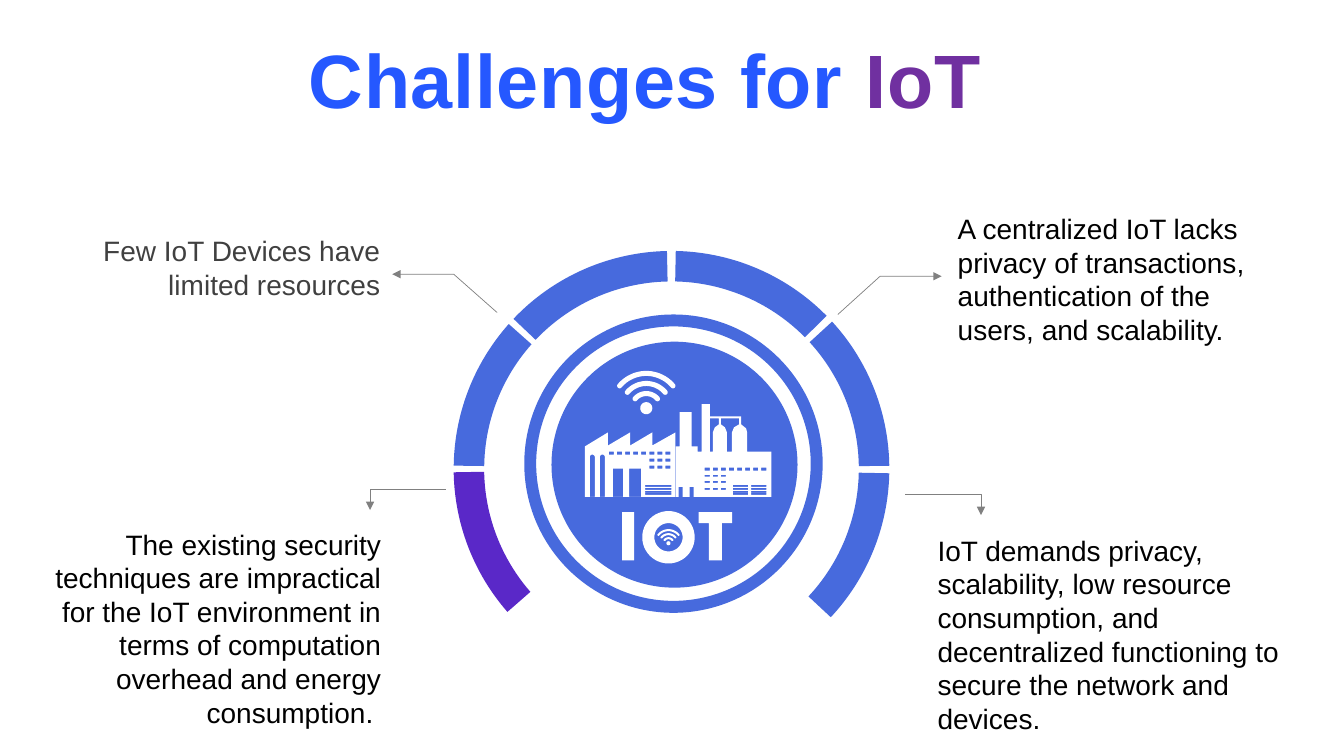
import math

import lxml.etree
import pptx
import pptx.dml.color
import pptx.enum.shapes
import pptx.enum.text
import pptx.oxml.ns
import pptx.util

# Content: lengths in px, 100 px to the inch
EMU_PER_PX = 9144
SLIDE = (1333, 750)
FONT = "Arial"
COLORS = {
    "blue": "476ADD", "purple": "5A28C8", "white": "FFFFFF", "black": "000000",
    "dark": "404040", "line": "808080", "title": "2558FF", "accent": "7030A0",
}
TITLE_BOX = (293, 28, 693, 101)
TITLE_RUNS = [("Challenges for ", "title"), ("IoT", "accent")]

# Box, alignment, colour, wording
NOTES = [
    ((940, 205, 309, 145), "LEFT", "black",
     "A centralized IoT lacks privacy of transactions, authentication of the users, "
     "and scalability."),
    ((920, 524, 375, 212), "LEFT", "black",
     "IoT demands privacy, scalability, low resource consumption, and decentralized "
     "functioning to secure the network and devices."),
    ((82, 227, 305, 77), "RIGHT", "dark", "Few IoT Devices have limited resources"),
    ((15, 518, 373, 212), "RIGHT", "black",
     "The existing security techniques are impractical for the IoT environment in "
     "terms of computation overhead and energy consumption. "),
]
ARROWS = [
    [(831, 312), (873, 274), (934, 274)],
    [(493, 310), (450, 272), (389, 272)],
    [(442, 485), (367, 485), (367, 506)],
    [(898, 490), (973, 490), (973, 511)],
]

# Ring pieces: rotation, block arc adjustments, colour
RING_BOX = (450, 249, 432, 432)
RING = [
    (137.7, (134.11, 159.19, 0.07), "blue"),
    (317.2, (109, 133.11, 0.07), "purple"),
    (0, (108.49, 132.99, 0.07), "blue"),
    (90, (136.5, 161.53, 0.07), "blue"),
    (47.6, (105.53, 132.72, 0.07), "blue"),
    (47.6, (134.11, 160.69, 0.07), "blue"),
]
DISC_BOX = (547, 339, 244, 244)
DONUT_BOX = (520, 312, 296, 296)
DONUT_WIDTH = 0.04

# Factory outlines and openings
HALL = [(580, 443), (603, 429), (603, 442), (625, 429), (625, 442), (647, 429),
        (647, 442), (670, 429), (670, 493), (580, 493)]
PLANT = [(696, 401), (704, 401), (704, 413), (735, 413), (735, 421), (740, 425),
         (741, 429), (741, 448), (765, 448), (765, 493), (688, 493), (688, 483),
         (684, 483), (684, 493), (677, 493), (677, 483), (673, 483), (673, 493),
         (670, 493), (670, 443), (674, 443), (674, 409), (686, 409), (686, 443),
         (692, 443), (692, 448), (696, 448)]
TANK_GAPS = [
    [(715, 415), (733, 415), (733, 421), (728, 424), (726, 429), (726, 448),
     (721, 448), (721, 429), (719, 424), (715, 421)],
    [(704, 415), (713, 415), (713, 421), (709, 424), (707, 429), (707, 448), (704, 448)],
]
HALL_DOORS = [(608, 465, 10, 28), (624, 465, 12, 28)]
PILLARS = (585, 595)
VENT_ROWS = (481, 484, 487, 489)
LETTER_T = [(693, 508), (726, 508), (726, 519), (716, 519), (716, 556), (703, 556),
            (703, 519), (693, 519)]

deck = pptx.Presentation()
deck.slide_width, deck.slide_height = [side * EMU_PER_PX for side in SLIDE]
page = deck.slides.add_slide(deck.slide_layouts[6])


def emu(lengths):
    return [round(length * EMU_PER_PX) for length in lengths]


def rgb(name):
    return pptx.dml.color.RGBColor.from_string(COLORS[name])


def paint(shape, color):
    shape.shadow.inherit = False
    shape.fill.solid()
    shape.fill.fore_color.rgb = rgb(color)
    shape.line.fill.background()


def add_preset(parent, kind, box, color, adjustments=(), rotation=0):
    shape = parent.add_shape(getattr(pptx.enum.shapes.MSO_SHAPE, kind), *emu(box))
    shape.rotation = rotation
    for index, value in enumerate(adjustments):
        shape.adjustments[index] = value
    paint(shape, color)


def add_outline(parent, contours, close=True):
    builder = parent.build_freeform(*emu(contours[0][0]))
    for index, contour in enumerate(contours):
        points = [emu(point) for point in contour]
        if index:
            builder.move_to(*points[0])
        builder.add_line_segments(points[1:], close=close)
    return builder.convert_to_shape()


def add_text(box, runs, size, align, bold=False, wrap=True, spacing=0):
    frame = page.shapes.add_textbox(*emu(box)).text_frame
    frame.word_wrap = wrap
    frame.auto_size = pptx.enum.text.MSO_AUTO_SIZE.SHAPE_TO_FIT_TEXT
    para = frame.paragraphs[0]
    para.alignment = getattr(pptx.enum.text.PP_ALIGN, align)
    for text, color in runs:
        span = para.add_run()
        span.text = text
        span.font.name, span.font.size, span.font.bold = FONT, pptx.util.Pt(size), bold
        span.font.color.rgb = rgb(color)
        if spacing:
            span._r.get_or_add_rPr().set("spc", str(spacing))


def rect(x, y, w, h):
    return [(x, y), (x + w, y), (x + w, y + h), (x, y + h)]


def grid(xs, ys, w, h):
    return [rect(x, y, w, h) for y in ys for x in xs]


def arc(center, radius, start, end, steps=24):
    angles = [math.radians(start + (end - start) * i / steps) for i in range(steps + 1)]
    return [(center[0] + radius * math.cos(a), center[1] + radius * math.sin(a))
            for a in angles]


def wave(center, radius, width):
    """Round-ended band centred above the signal dot."""
    start, end, cap = -140, -40, width / 2
    first, *_, last = arc(center, radius - cap, start, end)
    return (arc(center, radius, start, end) + arc(last, cap, end, end + 180, 8)
            + arc(center, radius - width, end, start)
            + arc(first, cap, start + 180, start + 360, 8))


def signal(center, dot, radii, width):
    return [arc(center, dot, 0, 360)] + [wave(center, radius, width) for radius in radii]


# Ring of challenges
ring = page.shapes.add_group_shape().shapes
for rotation, adjustments, color in RING:
    add_preset(ring, "BLOCK_ARC", RING_BOX, color, adjustments, rotation)

# Notes, arrows and title
for box, align, color, text in NOTES:
    add_text(box, [(text, color)], 20, align)
for points in ARROWS:
    arrow = add_outline(page.shapes, [points], close=False)
    arrow.shadow.inherit = False
    arrow.fill.background()
    arrow.line.color.rgb = rgb("line")
    arrow.line.width = pptx.util.Pt(0.5)
    lxml.etree.SubElement(arrow.line._get_or_add_ln(),
                          pptx.oxml.ns.qn("a:tailEnd"), type="triangle")
add_text(TITLE_BOX, TITLE_RUNS, 54, "CENTER", bold=True, wrap=False, spacing=50)

# Factory emblem
add_preset(page.shapes, "OVAL", DISC_BOX, "blue")
hall = [HALL] + [rect(*door) for door in HALL_DOORS]
hall += grid(range(604, 661, 8), [448], 5, 3)
hall += grid(range(644, 661, 8), [455, 462], 5, 3)
hall += grid([640], VENT_ROWS, 26, 2)
hall += [arc((x + 2.5, 453.5), 2.5, 180, 360, 8) + [(x + 5, 493), (x, 493)]
         for x in PILLARS]
plant = [PLANT] + TANK_GAPS
plant += grid(range(699, 756, 8), [464], 5, 3)
plant += grid(range(699, 716, 8), [471, 477, 484], 5, 2)
plant += grid([727, 745], VENT_ROWS, 15, 2)
factory = page.shapes.add_group_shape().shapes
for wing in (hall, plant):
    paint(add_outline(factory, wing), "white")
paint(add_outline(page.shapes, signal((641, 405), 6, (37, 27, 17), 5)), "white")

# IOT lettering
letter_o = [arc((663, 533), radius, 0, 360, 48) for radius in (26, 14)]
lettering = page.shapes.add_group_shape().shapes
for contours in ([rect(617, 508, 12, 48), *letter_o, LETTER_T],
                 signal((663, 539), 2, (14, 10, 6), 2)):
    paint(add_outline(lettering, contours), "white")
add_preset(page.shapes, "DONUT", DONUT_BOX, "blue", [DONUT_WIDTH])

deck.save("out.pptx")
